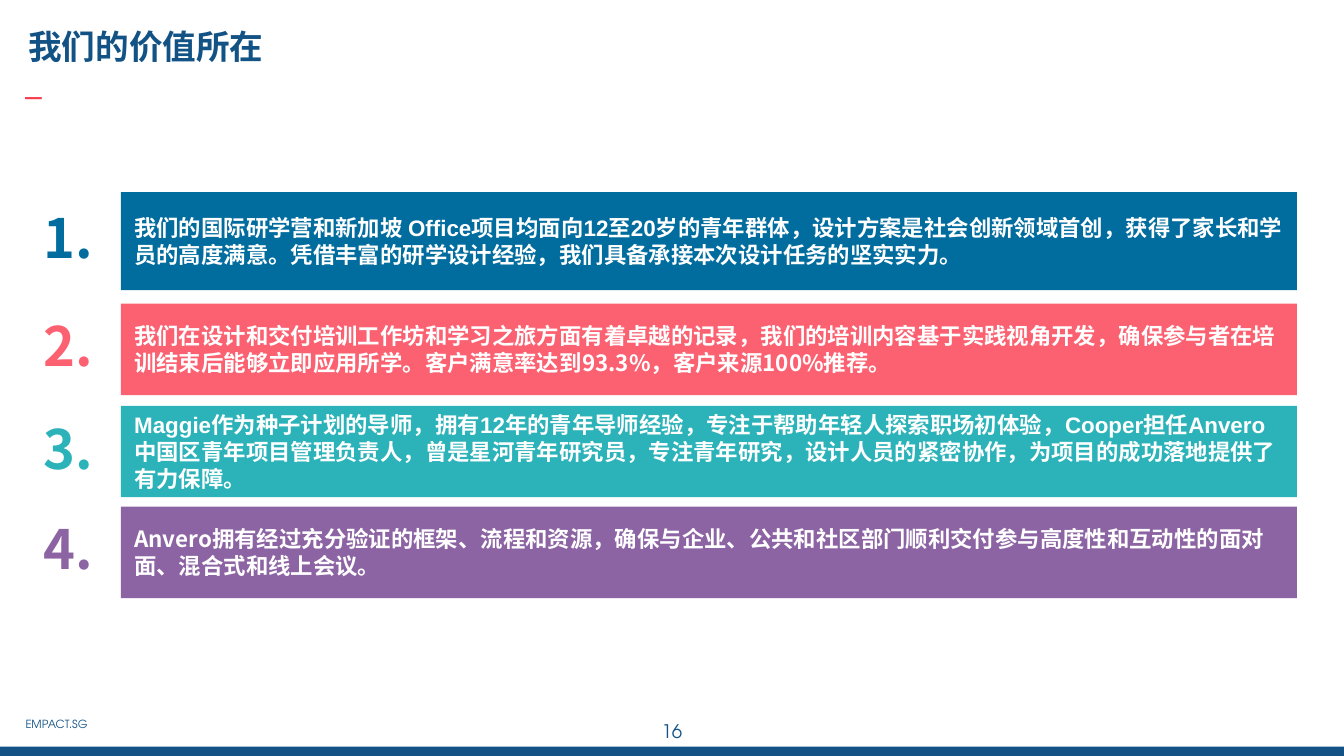
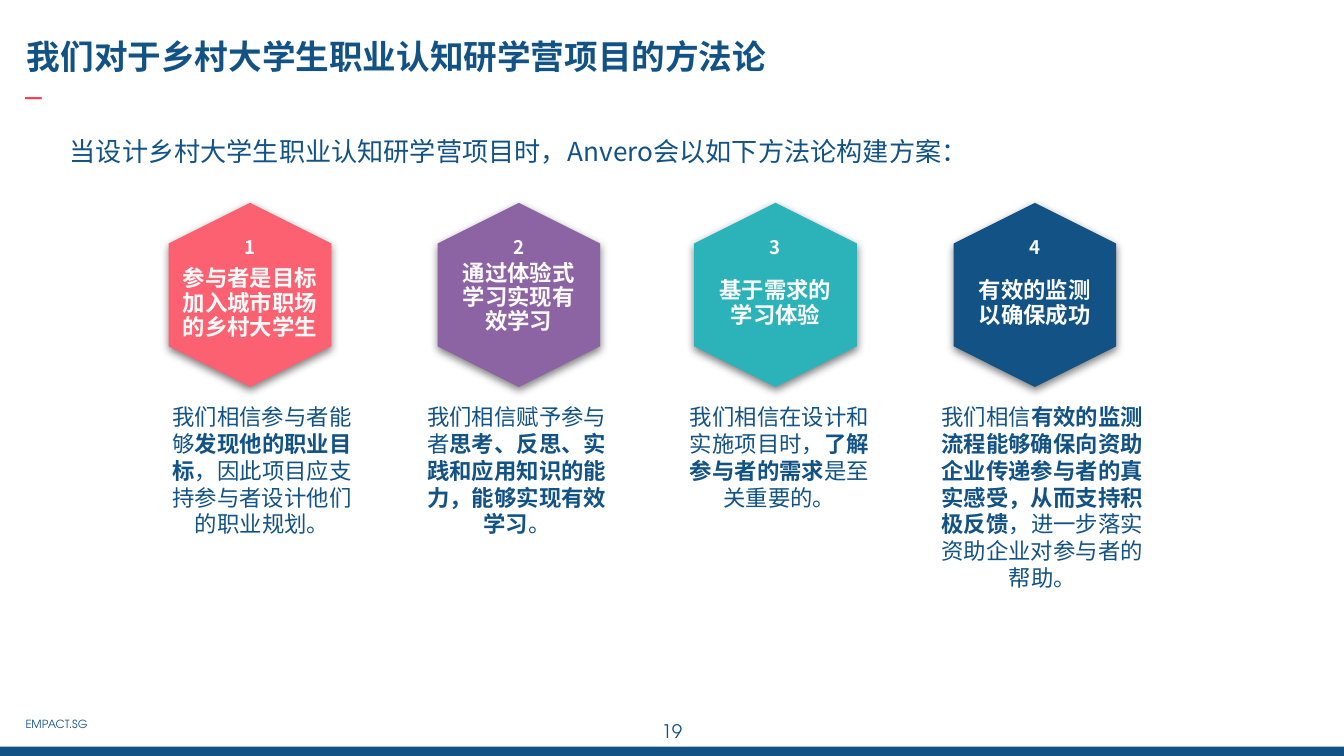
import pptx
import pptx.dml.color
import pptx.enum.shapes
import pptx.enum.text
import pptx.oxml.ns
import pptx.util
from lxml import etree

Inches, Pt = pptx.util.Inches, pptx.util.Pt
ALIGN = pptx.enum.text.PP_ALIGN
ANCHOR = pptx.enum.text.MSO_ANCHOR
AUTO = pptx.enum.text.MSO_AUTO_SIZE
SHAPE = pptx.enum.shapes.MSO_SHAPE
qn = pptx.oxml.ns.qn

WIDTH = 10
HEIGHT = WIDTH * 9 / 16
CJK, LATIN, FOOTER = "Noto Sans CJK SC", "Arial", "TeX Gyre Adventor"
COLORS = {
    "navy": "125284", "blue": "006D9E", "coral": "FB6171", "teal": "2CB3B9",
    "purple": "8D64A3", "red": "FB394D", "white": "FFFFFF", "pale": "FAFAFA",
    "black": "000000",
}

VALUES_TITLE = "我们的价值所在"
# bar top, bar height, colour, latin font, text
VALUES = [
    (1.43, 0.73, "blue", LATIN,
     "我们的国际研学营和新加坡 Office项目均面向12至20岁的青年群体，设计方案是社会创新领域首创，"
     "获得了家长和学员的高度满意。凭借丰富的研学设计经验，我们具备承接本次设计任务的坚实实力。"),
    (2.26, 0.68, "coral", CJK,
     "我们在设计和交付培训工作坊和学习之旅方面有着卓越的记录，我们的培训内容基于实践视角开发，"
     "确保参与者在培训结束后能够立即应用所学。客户满意率达到93.3%，客户来源100%推荐。"),
    (3.02, 0.68, "teal", LATIN,
     "Maggie作为种子计划的导师，拥有12年的青年导师经验，专注于帮助年轻人探索职场初体验，"
     "Cooper担任Anvero中国区青年项目管理负责人，曾是星河青年研究员，专注青年研究，"
     "设计人员的紧密协作，为项目的成功落地提供了有力保障。"),
    (3.77, 0.68, "purple", CJK,
     "Anvero拥有经过充分验证的框架、流程和资源，确保与企业、公共和社区部门顺利交付"
     "参与高度性和互动性的面对面、混合式和线上会议。"),
]

METHOD_TITLE = "我们对于乡村大学生职业认知研学营项目的方法论"
METHOD_INTRO = "当设计乡村大学生职业认知研学营项目时，Anvero会以如下方法论构建方案："
# hexagon centre x, colour, heading, (heading width, centre y), (body left, width), body runs
STEPS = [
    (1.86, "coral", "参与者是目标加入城市职场的乡村大学生", (1.11, 2.26), (1.11, 1.68),
     [("我们相信参与者能够", False), ("发现他的职业目标", True),
      ("，因此项目应支持参与者设计他们的职业规划。", False)]),
    (3.86, "purple", "通过体验式学习实现有效学习", (1.06, 2.22), (3.05, 1.59),
     [("我们相信赋予参与者", False),
      ("思考、反思、实践和应用知识的能力，能够实现有效学习", True), ("。", False)]),
    (5.77, "teal", "基于需求的学习体验", (1.04, 2.26), (4.96, 1.68),
     [("我们相信在设计和实施项目时，", False), ("了解参与者的需求", True),
      ("是至关重要的。", False)]),
    (7.7, "navy", "有效的监测以确保成功", (1.04, 2.26), (6.86, 1.79),
     [("我们相信", False),
      ("有效的监测流程能够确保向资助企业传递参与者的真实感受，从而支持积极反馈", True),
      ("，进一步落实资助企业对参与者的帮助。", False)]),
]


def rgb(name):
    return pptx.dml.color.RGBColor.from_string(COLORS[name])


def write(sp, text, size, color, font=CJK, bold=False, align=ALIGN.LEFT,
          anchor=ANCHOR.TOP, inset=(0.1, 0.1), spacing=None):
    """Fill a shape with one paragraph; text is a string or (text, bold) runs."""
    tf = sp.text_frame
    tf.word_wrap, tf.auto_size, tf.vertical_anchor = True, AUTO.NONE, anchor
    tf.margin_left = tf.margin_right = Inches(inset[0])
    tf.margin_top = tf.margin_bottom = Inches(inset[1])
    p = tf.paragraphs[0]
    p.alignment = align
    if spacing:
        p.line_spacing = spacing
    for part, strong in [(text, bold)] if isinstance(text, str) else text:
        r = p.add_run()
        r.text = part
        r.font.size, r.font.bold, r.font.name = Pt(size), strong, font
        r.font.color.rgb = rgb(color)
        ea = etree.Element(qn("a:ea"), typeface=CJK)
        r._r.get_or_add_rPr().find(qn("a:latin")).addnext(ea)
    return sp


def add_text(s, box, *args, **style):
    return write(s.shapes.add_textbox(*map(Inches, box)), *args, **style)


def add_filled(s, kind, box, color):
    sp = s.shapes.add_shape(kind, *map(Inches, box))
    sp.shadow.inherit = False
    sp.fill.solid()
    sp.fill.fore_color.rgb = rgb(color)
    sp.line.fill.background()
    return sp


def add_drop_shadow(sp):
    effects = sp._element.spPr.find(qn("a:effectLst"))
    shadow = etree.SubElement(effects, qn("a:outerShdw"), blurRad=str(Pt(4.5)),
                              dist=str(Pt(1.5)), dir="5400000", rotWithShape="0")
    tint = etree.SubElement(shadow, qn("a:srgbClr"), val=COLORS["black"])
    etree.SubElement(tint, qn("a:alpha"), val="50000")


def add_slide(prs, title, title_box, number):
    s = prs.slides.add_slide(prs.slide_layouts[5])
    add_text(s, ((WIDTH - 0.6) / 2, 5.26, 0.6, 0.43), number, 10, "navy",
             FOOTER, align=ALIGN.CENTER)
    add_text(s, (0.19, 0.55, 3.32, 0.3), "–", 18, "red", FOOTER, inset=(0, 0))
    add_text(s, (0.19, 5.34, 0.73, 0.12), "EMPACT.SG", 6, "navy", FOOTER, inset=(0, 0))
    add_filled(s, SHAPE.RECTANGLE, (0, HEIGHT - 0.07, WIDTH, 0.07), "navy")
    sp = s.shapes.title
    sp.left, sp.top, sp.width, sp.height = map(Inches, title_box)
    write(sp, title, 18, "navy", bold=True)
    return s


def build_values(prs):
    s = add_slide(prs, VALUES_TITLE, (0.11, 0.09, 9.54, 0.34), "16")
    middle = {"bold": True, "anchor": ANCHOR.MIDDLE, "inset": (0.1, 0.05)}
    for i, (top, height, color, font, text) in enumerate(VALUES, 1):
        add_text(s, (0.07, top, 0.72, height), f"{i}.", 29, color,
                 align=ALIGN.RIGHT, spacing=0.9, **middle)
        bar = add_filled(s, SHAPE.RECTANGLE, (0.9, top, 8.75, height), color)
        write(bar, text, 12, "white", font, **middle)


def build_method(prs):
    s = add_slide(prs, METHOD_TITLE, (0.1, 0.17, 9.44, 0.34), "19")
    intro = add_text(s, (0.42, 0.87, 9.18, 0.47), METHOD_INTRO, 14, "navy", spacing=1.15)
    intro.text_frame.auto_size = AUTO.SHAPE_TO_FIT_TEXT
    label = {"bold": True, "align": ALIGN.CENTER, "spacing": 0.9}
    for i, (x, color, heading, (w, y), (left, width), body) in enumerate(STEPS, 1):
        hexagon = add_filled(s, SHAPE.HEXAGON, (x - 1.37 / 2, 1.59, 1.37, 1.21), color)
        hexagon.rotation = 90
        add_drop_shadow(hexagon)
        add_text(s, (x - w / 2, y - 0.47, w, 0.94), heading, 12, "pale",
                 anchor=ANCHOR.MIDDLE, inset=(0.04, 0.04), **label)
        add_text(s, (x - 0.3, 1.67, 0.6, 0.39), str(i), 10, "pale", **label)
        add_text(s, (left, 2.95, width, 1.8), body, 12, "navy",
                 align=ALIGN.CENTER, inset=(0.1, 0.05))


def main():
    prs = pptx.Presentation()
    prs.slide_width, prs.slide_height = Inches(WIDTH), Inches(HEIGHT)
    build_values(prs)
    build_method(prs)
    prs.save("out.pptx")


if __name__ == "__main__":
    main()
